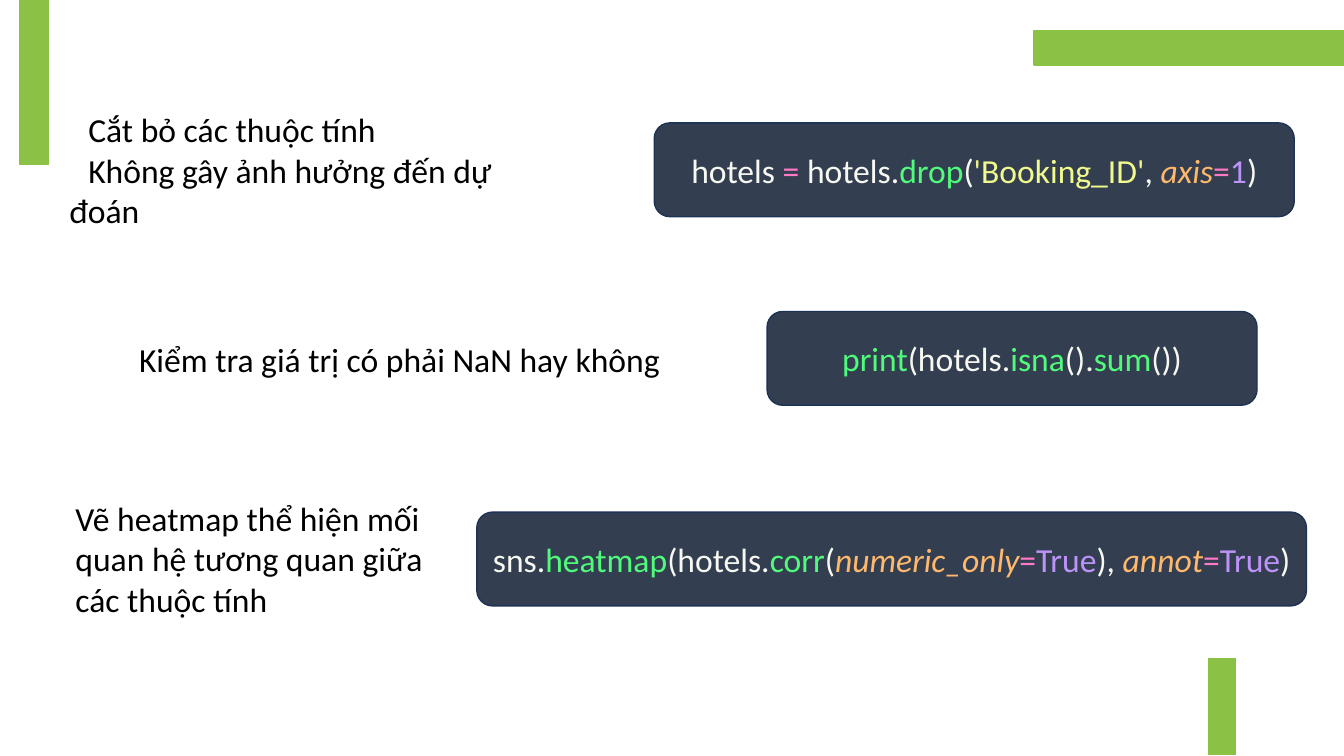
import pptx
import pptx.dml.color
import pptx.enum.shapes
import pptx.enum.text
import pptx.util

Pt = pptx.util.Pt
SHAPE = pptx.enum.shapes.MSO_SHAPE
ANCHOR = pptx.enum.text.MSO_ANCHOR
ALIGN = pptx.enum.text.PP_ALIGN

GREEN, WHITE, BLACK = "8BC145", "FFFFFF", "000000"
PANEL, PANEL_LINE = "333F50", "1E3256"
CODE_HEIGHT = 67
TOKEN_COLORS = {
    "plain": "F8F8F2", "call": "50FA7B", "op": "FF79C6", "arg": "FFB86C",
    "const": "BD93F9", "quote": "E9F284", "str": "F1FA8C",
}


def rgb(color):
    return pptx.dml.color.RGBColor.from_string(color)


class SlideBuilder:
    font, size = "Calibri", 24

    def __init__(self, slide):
        self.shapes = slide.shapes

    def run(self, p, text, color, italic=False):
        r = p.add_run()
        r.text = text
        r.font.name, r.font.size = self.font, Pt(self.size)
        r.font.color.rgb = rgb(color)
        r.font.italic = italic

    def box(self, kind, bounds, fill, line):
        sp = self.shapes.add_shape(kind, *map(Pt, bounds))
        sp.shadow.inherit = False
        sp.fill.solid()
        sp.fill.fore_color.rgb = rgb(fill)
        sp.line.color.rgb = rgb(line)
        sp.line.width = Pt(1)
        return sp

    def bar(self, bounds, line=GREEN):
        self.box(SHAPE.RECTANGLE, bounds, GREEN, line)

    def note(self, bounds, lines, anchor=ANCHOR.TOP, indent=0):
        tf = self.shapes.add_textbox(*map(Pt, bounds)).text_frame
        tf.word_wrap = True
        tf.vertical_anchor = anchor
        for i, line in enumerate(lines):
            p = tf.add_paragraph() if i else tf.paragraphs[0]
            if indent:
                p._p.get_or_add_pPr().set("indent", str(Pt(indent)))
            self.run(p, line, BLACK)

    def code(self, left, top, width, tokens):
        """Dark panel with one highlighted line of (text, token kind) pairs."""
        sp = self.box(SHAPE.ROUNDED_RECTANGLE, (left, top, width, CODE_HEIGHT),
                      PANEL, PANEL_LINE)
        tf = sp.text_frame
        tf.word_wrap = True
        tf.vertical_anchor = ANCHOR.MIDDLE
        p = tf.paragraphs[0]
        p.alignment = ALIGN.CENTER
        for text, kind in tokens:
            self.run(p, text, TOKEN_COLORS[kind], italic=kind == "arg")


def main():
    prs = pptx.Presentation()
    prs.slide_width, prs.slide_height = Pt(960), Pt(540)
    s = SlideBuilder(prs.slides.add_slide(prs.slide_layouts[6]))

    s.note((42.5, 88.5, 370.5, 65.5),
           ["Cắt bỏ các thuộc tính", "Không gây ảnh hưởng đến dự đoán"],
           ANCHOR.MIDDLE, indent=13.5)
    s.code(467.3, 87.8, 457.2, [
        ("hotels ", "plain"), ("= ", "op"), ("hotels.", "plain"),
        ("drop", "call"), ("(", "plain"), ("'", "quote"),
        ("Booking_ID", "str"), ("'", "quote"), (", ", "plain"),
        ("axis", "arg"), ("=", "op"), ("1", "const"), (")", "plain")])

    s.note((46.8, 352, 287.3, 94.3),
           ["Vẽ heatmap thể hiện mối quan hệ tương quan giữa các thuộc tính"])
    s.code(340.6, 365.8, 592.6, [
        ("sns.", "plain"), ("heatmap", "call"), ("(hotels.", "plain"),
        ("corr", "call"), ("(", "plain"), ("numeric_only", "arg"),
        ("=", "op"), ("True", "const"), ("), ", "plain"),
        ("annot", "arg"), ("=", "op"), ("True", "const"), (")", "plain")])

    s.note((92.2, 238.3, 452.2, 36), ["Kiểm tra giá trị có phải NaN hay không"])
    s.code(547.9, 222.5, 350, [
        ("print", "call"), ("(hotels.", "plain"), ("isna", "call"),
        ("().", "plain"), ("sum", "call"), ("())", "plain")])

    s.bar((14.4, 0, 20.2, 117.4))
    s.bar((738.5, 22, 221.5, 24.5))
    s.bar((862.6, 469.5, 20.5, 70.5), line=WHITE)

    prs.save("out.pptx")


if __name__ == "__main__":
    main()
